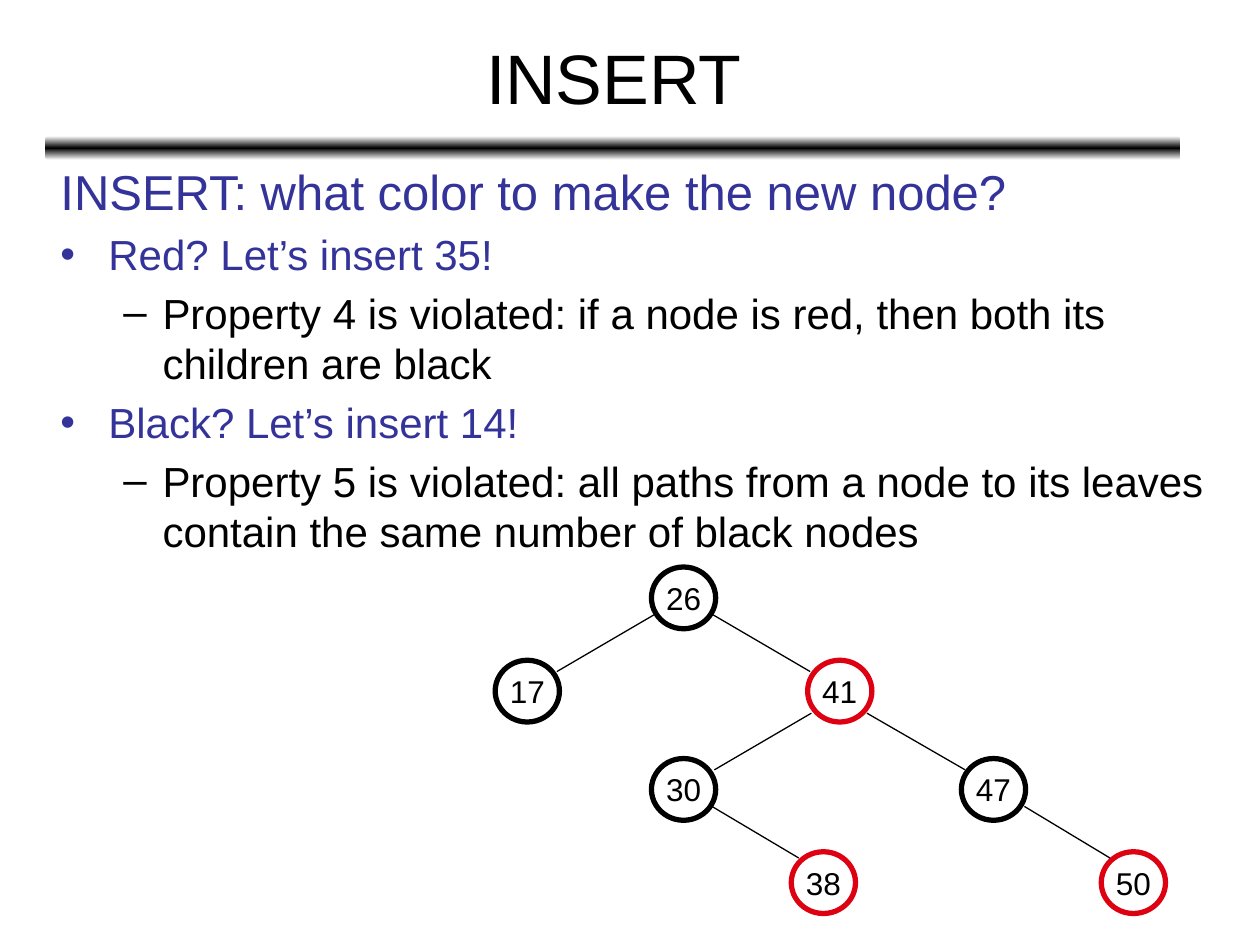
from copy import deepcopy

from lxml import etree
from pptx import Presentation
from pptx.dml.color import RGBColor
from pptx.enum.shapes import MSO_CONNECTOR, MSO_SHAPE
from pptx.enum.text import MSO_ANCHOR, MSO_AUTO_SIZE, PP_ALIGN
from pptx.oxml.ns import qn
from pptx.util import Inches, Pt

BLACK = RGBColor(0x00, 0x00, 0x00)
WHITE = RGBColor(0xFF, 0xFF, 0xFF)
RED = RGBColor(0xDD, 0x01, 0x11)
INDIGO = RGBColor(0x33, 0x33, 0x99)

ELLIPSE, ROUNDED = MSO_SHAPE.OVAL, MSO_SHAPE.ROUNDED_RECTANGLE
STRAIGHT = MSO_CONNECTOR.STRAIGHT
CENTER, MIDDLE = PP_ALIGN.CENTER, MSO_ANCHOR.MIDDLE
NO_AUTOFIT = MSO_AUTO_SIZE.NONE

# text, level, size, colour, bullet
POINTS = [
    ("INSERT: what color to make the new node?", 0, 28, INDIGO, None),
    ("Red? Let’s insert 35!", 0, 24, INDIGO, "•"),
    ("Property 4 is violated: if a node is red, then both its children "
     "are black", 1, 24, BLACK, "–"),
    ("Black? Let’s insert 14!", 0, 24, INDIGO, "•"),
    ("Property 5 is violated: all paths from a node to its leaves contain "
     "the same number of black nodes", 1, 24, BLACK, "–"),
]
INDENTS = [(0.38, -0.38), (0.81, -0.31)]  # left margin and first line, by level

# key, left, top, colour
NODES = [
    (26, 5.17, 4.5, BLACK),
    (17, 3.93, 5.24, BLACK),
    (41, 6.41, 5.24, RED),
    (30, 5.17, 6.02, BLACK),
    (47, 7.63, 6.02, BLACK),
    (38, 6.28, 6.76, RED),
    (50, 8.74, 6.76, RED),
]

# parent end, child end
EDGES = [
    ((5.19, 4.88), (4.42, 5.33)),
    ((5.66, 4.88), (6.43, 5.33)),
    ((6.44, 5.66), (5.67, 6.11)),
    ((6.88, 5.66), (7.66, 6.11)),
    ((5.65, 6.4), (6.34, 6.81)),
    ((8.13, 6.4), (8.81, 6.81)),
]


class SlideBuilder:
    font_name = "Arial"
    node_size = (0.51, 0.49)

    def __init__(self, slide):
        self.slide = slide
        self.tree = None

    def style(self, paragraph, size, color):
        paragraph.font.name = self.font_name
        paragraph.font.size = Pt(size)
        paragraph.font.color.rgb = color

    def place(self, shape, left, top, width, height):
        shape.left, shape.top = Inches(left), Inches(top)
        shape.width, shape.height = Inches(width), Inches(height)

    def divider(self, left, top, width, height):
        bar = self.slide.shapes.add_shape(
            ROUNDED, Inches(left), Inches(top), Inches(width), Inches(height))
        bar.shadow.inherit = False
        bar.line.fill.background()
        bar.fill.gradient()
        bar.fill.gradient_angle = 90
        # A third stop makes the fade symmetric
        stop_list = bar.fill._fill._gradFill.find(qn("a:gsLst"))
        stop_list.append(deepcopy(stop_list[-1]))
        for stop, position, color in zip(
                bar.fill.gradient_stops, (0, 0.5, 1), (WHITE, BLACK, WHITE)):
            stop.position = position
            stop.color.rgb = color

    def title(self, text, *box):
        heading = self.slide.shapes.title
        self.place(heading, *box)
        frame = heading.text_frame
        frame.text = text
        frame.auto_size = NO_AUTOFIT
        frame.vertical_anchor = MIDDLE
        frame.paragraphs[0].alignment = CENTER
        self.style(frame.paragraphs[0], 40, BLACK)

    def body(self, points, *box):
        content = self.slide.placeholders[1]
        self.place(content, *box)
        frame = content.text_frame
        frame.auto_size = NO_AUTOFIT
        for index, (text, level, size, color, bullet) in enumerate(points):
            paragraph = frame.add_paragraph() if index else frame.paragraphs[0]
            paragraph.text = text
            paragraph.level = level
            paragraph.line_spacing = 1.0
            paragraph.space_before = Pt(size * 0.2)
            self.style(paragraph, size, color)
            self.bullet(paragraph, bullet, *INDENTS[level])

    def bullet(self, paragraph, char, margin, indent):
        properties = paragraph._p.get_or_add_pPr()
        properties.set("marL", str(Inches(margin)))
        properties.set("indent", str(Inches(indent)))
        mark = etree.Element(qn("a:buChar" if char else "a:buNone"))
        if char:
            mark.set("char", char)
        properties.find(qn("a:defRPr")).addprevious(mark)

    def start_tree(self):
        self.tree = self.slide.shapes.add_group_shape().shapes

    def node(self, key, left, top, color):
        width, height = self.node_size
        circle = self.tree.add_shape(
            ELLIPSE, Inches(left), Inches(top), Inches(width), Inches(height))
        circle.shadow.inherit = False
        circle.fill.background()
        circle.line.color.rgb = color
        circle.line.width = Pt(3)
        frame = circle.text_frame
        frame.text = str(key)
        frame.word_wrap = False
        frame.vertical_anchor = MIDDLE
        frame.paragraphs[0].alignment = CENTER
        self.style(frame.paragraphs[0], 18, BLACK)

    def edge(self, parent_end, child_end):
        link = self.tree.add_connector(
            STRAIGHT, *(Inches(value) for value in parent_end + child_end))
        link.line.color.rgb = BLACK
        link.line.width = Pt(0.75)
        etree.SubElement(link._element.spPr, qn("a:effectLst"))


def main():
    presentation = Presentation()
    presentation.slide_width, presentation.slide_height = Inches(10), Inches(7.5)
    slide = presentation.slides.add_slide(presentation.slide_layouts[1])
    builder = SlideBuilder(slide)

    # Heading and explanation
    builder.divider(0.36, 1.08, 9.01, 0.19)
    builder.title("INSERT", 0.37, 0.11, 9, 0.99)
    builder.body(POINTS, 0.38, 1.23, 9.39, 4.6)

    # Red-black tree
    builder.start_tree()
    for node in NODES:
        builder.node(*node)
    for edge in EDGES:
        builder.edge(*edge)

    presentation.save("out.pptx")


if __name__ == "__main__":
    main()
